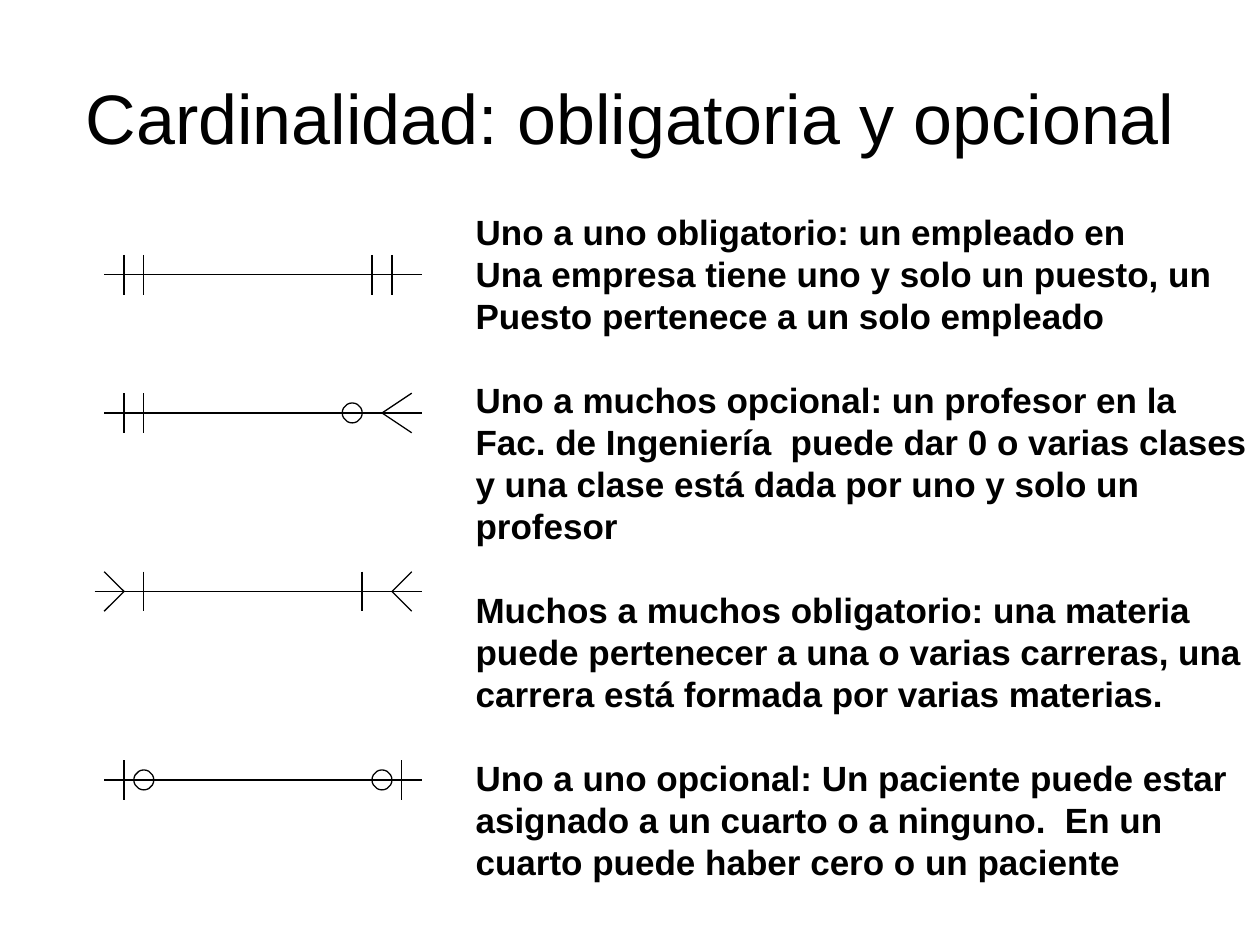
from dataclasses import dataclass
from enum import Enum

import pptx
import pptx.dml.color
import pptx.enum.shapes
import pptx.enum.text
import pptx.oxml
import pptx.oxml.ns
import pptx.util

Pt = pptx.util.Pt


@dataclass(frozen=True)
class Theme:
    font: str = "Arial"
    ink: pptx.dml.color.RGBColor = pptx.dml.color.RGBColor(0, 0, 0)
    title_size: float = 40
    body_size: float = 20
    body_leading: float = 24
    line_width: float = 0.75


class Mark(Enum):
    BAR = "bar"
    CIRCLE = "circle"
    CROW_FOOT = "crow's foot"


@dataclass(frozen=True)
class End:
    """A mark on a relation line; a crow's foot opens from x to tip."""
    mark: Mark
    x: float
    tip: float = 0


@dataclass(frozen=True)
class Relation:
    y: float
    ends: tuple[End, ...]
    left: float = 59.5


THEME = Theme()
RIGHT = 241.0
HALF_HEIGHT = 11.3
RADIUS = 5.7
FIRST, SECOND = 70.9, 82.2

RELATIONS = (
    Relation(157, (End(Mark.BAR, FIRST), End(Mark.BAR, SECOND),
                   End(Mark.BAR, 212.6), End(Mark.BAR, 224))),
    Relation(236, (End(Mark.BAR, FIRST), End(Mark.BAR, SECOND),
                   End(Mark.CIRCLE, 201.3), End(Mark.CROW_FOOT, 218.3, 235.3))),
    Relation(338, (End(Mark.CROW_FOOT, FIRST, 59.5), End(Mark.BAR, SECOND),
                   End(Mark.BAR, 206.9), End(Mark.CROW_FOOT, 224, 235.3)), left=54),
    Relation(445.7, (End(Mark.BAR, FIRST), End(Mark.CIRCLE, SECOND),
                     End(Mark.CIRCLE, 218.3), End(Mark.BAR, 229.6))),
)

EXPLANATIONS = (
    ("Uno a uno obligatorio: un empleado en",
     "Una empresa tiene uno y solo un puesto, un",
     "Puesto pertenece a un solo empleado"),
    ("Uno a muchos opcional: un profesor en la",
     "Fac. de Ingeniería  puede dar 0 o varias clases y una clase está dada "
     "por uno y solo un profesor"),
    ("Muchos a muchos obligatorio: una materia puede pertenecer a una o varias "
     "carreras, una carrera está formada por varias materias.",),
    ("Uno a uno opcional: Un paciente puede estar asignado a un cuarto o a "
     "ninguno.  En un cuarto puede haber cero o un paciente",),
)


def add_text(slide, groups: tuple[tuple[str, ...], ...], *, left: float, top: float,
             width: float, height: float, size: float, bold: bool = False,
             align=pptx.enum.text.PP_ALIGN.LEFT, anchor=pptx.enum.text.MSO_ANCHOR.TOP,
             leading: float | None = None, group_gap: float = 0) -> None:
    """Write groups of paragraphs, with group_gap above each group but the first."""
    box = slide.shapes.add_textbox(Pt(left), Pt(top), Pt(width), Pt(height))
    frame = box.text_frame
    frame.word_wrap = True
    frame.vertical_anchor = anchor
    paragraph = frame.paragraphs[0]
    for group_index, group in enumerate(groups):
        for index, text in enumerate(group):
            if group_index or index:
                paragraph = frame.add_paragraph()
            paragraph.alignment = align
            if leading:
                paragraph.line_spacing = Pt(leading)
            if group_index and index == 0:
                paragraph.space_before = Pt(group_gap)
            run = paragraph.add_run()
            run.text = text
            run.font.name = THEME.font
            run.font.size = Pt(size)
            run.font.bold = bold
            run.font.color.rgb = THEME.ink


def set_outline(shape) -> None:
    shape.line.color.rgb = THEME.ink
    shape.line.width = Pt(THEME.line_width)


def add_line(slide, x1: float, y1: float, x2: float, y2: float) -> None:
    connector = slide.shapes.add_connector(
        pptx.enum.shapes.MSO_CONNECTOR.STRAIGHT, Pt(x1), Pt(y1), Pt(x2), Pt(y2))
    set_outline(connector)
    properties = connector._element.spPr
    properties.append(pptx.oxml.parse_xml(
        f"<a:effectLst {pptx.oxml.ns.nsdecls('a')}/>"))


def add_circle(slide, x: float, y: float) -> None:
    circle = slide.shapes.add_shape(
        pptx.enum.shapes.MSO_SHAPE.OVAL, Pt(x - RADIUS), Pt(y - RADIUS),
        Pt(2 * RADIUS), Pt(2 * RADIUS))
    circle.shadow.inherit = False
    circle.fill.background()
    set_outline(circle)


def add_relation(slide, relation: Relation) -> None:
    y = relation.y
    add_line(slide, relation.left, y, RIGHT, y)
    for end in relation.ends:
        if end.mark is Mark.BAR:
            add_line(slide, end.x, y - HALF_HEIGHT, end.x, y + HALF_HEIGHT)
        elif end.mark is Mark.CIRCLE:
            add_circle(slide, end.x, y)
        else:
            for side in (-1, 1):
                add_line(slide, end.x, y, end.tip, y + side * HALF_HEIGHT)


def main() -> None:
    presentation = pptx.Presentation()
    presentation.slide_width, presentation.slide_height = Pt(720), Pt(540)
    slide = presentation.slides.add_slide(presentation.slide_layouts[6])
    add_text(slide, (("Cardinalidad: obligatoria y opcional",),),
             left=36, top=21.6, width=648, height=90, size=THEME.title_size,
             align=pptx.enum.text.PP_ALIGN.CENTER,
             anchor=pptx.enum.text.MSO_ANCHOR.MIDDLE)
    add_text(slide, EXPLANATIONS, left=264.7, top=116.6, width=455.3, height=391.7,
             size=THEME.body_size, bold=True, leading=THEME.body_leading,
             group_gap=THEME.body_leading)
    for relation in RELATIONS:
        add_relation(slide, relation)
    presentation.save("out.pptx")


if __name__ == "__main__":
    main()
